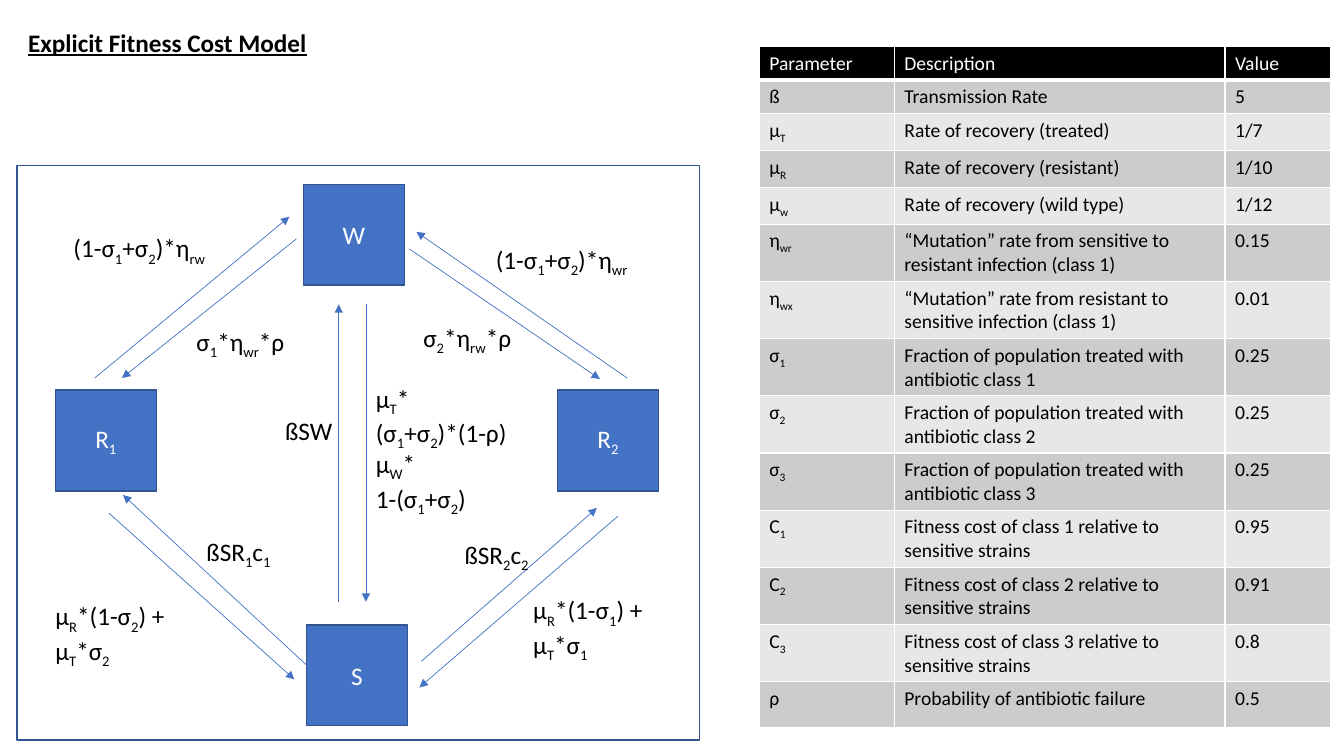
import dataclasses

import pptx
import pptx.dml.color
import pptx.enum.shapes
import pptx.enum.text
import pptx.oxml
import pptx.oxml.ns
import pptx.shapes.autoshape
import pptx.slide
import pptx.table
import pptx.text.text
import pptx.util

PX = 9144
FONT = "Calibri"
BLUE, NAVY = "4472C4", "325491"
BLACK, WHITE = "000000", "FFFFFF"
BANDS = ("E7E7E7", "CCCCCC")


@dataclasses.dataclass
class Compartment:
    left: int
    top: int
    text: str


@dataclasses.dataclass
class Flow:
    x1: int
    y1: int
    x2: int
    y2: int


@dataclasses.dataclass
class Label:
    left: int
    top: int
    width: int
    height: int
    text: str
    wrap: bool = False
    heading: bool = False


COMPARTMENTS = [
    Compartment(304, 620, "S"),
    Compartment(55, 387, "R|1|"),
    Compartment(553, 387, "R|2|"),
    Compartment(301, 183, "W"),
]

FLOWS = [
    Flow(94, 375, 287, 215),
    Flow(294, 237, 121, 375),
    Flow(622, 375, 413, 230),
    Flow(406, 247, 595, 376),
    Flow(363, 302, 363, 597),
    Flow(336, 597, 336, 302),
    Flow(315, 670, 122, 491),
    Flow(108, 509, 292, 674),
    Flow(418, 656, 592, 504),
    Flow(613, 512, 416, 682),
]

LABELS = [
    Label(63, 226, 191, 40, "(1-σ|1|+σ|2|)*η|rw|", wrap=True),
    Label(410, 315, 112, 40, "σ|2|*η|rw|*ρ"),
    Label(185, 319, 112, 40, "σ|1|*η|wr|*ρ"),
    Label(482, 237, 163, 40, "(1-σ|1|+σ|2|)*η|wr|"),
    Label(451, 530, 87, 40, "ßSR|2|c|2|"),
    Label(195, 527, 87, 40, "ßSR|1|c|1|"),
    Label(45, 591, 132, 71, "µ|R|*(1-σ|2|) +\nµ|T|*σ|2|"),
    Label(273, 407, 67, 40, "ßSW"),
    Label(363, 375, 154, 71, "µ|T|*\n(σ|1|+σ|2|)*(1-ρ)"),
    Label(363, 440, 113, 71, "µ|W|*\n1-(σ|1|+σ|2|)"),
    Label(519, 585, 132, 71, "µ|R|*(1-σ|1|) +\nµ|T|*σ|1|"),
    Label(18, 22, 298, 40, "Explicit Fitness Cost Model", heading=True),
]

PARAMETERS = [
    ("Parameter", "Description", "Value"),
    ("ß", "Transmission Rate", "5"),
    ("µ|T|", "Rate of recovery (treated)", "1/7"),
    ("µ|R|", "Rate of recovery (resistant)", "1/10"),
    ("µ|w|", "Rate of recovery (wild type)", "1/12"),
    ("η|wr|", "“Mutation” rate from sensitive to resistant infection (class 1)", "0.15"),
    ("η|wx|", "“Mutation” rate from resistant to sensitive infection (class 1)", "0.01"),
    ("σ|1|", "Fraction of population treated with antibiotic class 1", "0.25"),
    ("σ|2|", "Fraction of population treated with antibiotic class 2", "0.25"),
    ("σ|3|", "Fraction of population treated with antibiotic class 3", "0.25"),
    ("C|1|", "Fitness cost of class 1 relative to sensitive strains", "0.95"),
    ("C|2|", "Fitness cost of class 2 relative to sensitive strains", "0.91"),
    ("C|3|", "Fitness cost of class 3 relative to sensitive strains", "0.8"),
    ("ρ", "Probability of antibiotic failure", "0.5"),
]
COLUMN_WIDTHS = [134, 328, 105]
ROW_HEIGHTS = [32] * 5 + [55] * 8 + [45]


def color(hex_code: str) -> pptx.dml.color.RGBColor:
    return pptx.dml.color.RGBColor.from_string(hex_code)


def write(frame: pptx.text.text.TextFrame, text: str, size: int, ink: str,
          centered: bool = False, heading: bool = False) -> None:
    for number, line in enumerate(text.split("\n")):
        paragraph = frame.add_paragraph() if number else frame.paragraphs[0]
        if centered:
            paragraph.alignment = pptx.enum.text.PP_ALIGN.CENTER
        for position, part in enumerate(line.split("|")):
            if not part:
                continue
            run = paragraph.add_run()
            run.text = part
            run.font.name = FONT
            run.font.size = pptx.util.Pt(size)
            run.font.color.rgb = color(ink)
            if heading:
                run.font.bold = True
                run.font.underline = True
            if position % 2:
                run._r.get_or_add_rPr().set("baseline", "-25000")


def draw_box(slide: pptx.slide.Slide, left: int, top: int, width: int, height: int,
             fill: str) -> pptx.shapes.autoshape.Shape:
    box = slide.shapes.add_shape(pptx.enum.shapes.MSO_SHAPE.RECTANGLE,
                                 left * PX, top * PX, width * PX, height * PX)
    box.shadow.inherit = False
    box.fill.solid()
    box.fill.fore_color.rgb = color(fill)
    box.line.color.rgb = color(NAVY)
    box.line.width = pptx.util.Pt(1)
    return box


def draw_compartment(slide: pptx.slide.Slide, item: Compartment) -> None:
    box = draw_box(slide, item.left, item.top, 100, 100, BLUE)
    box.text_frame.vertical_anchor = pptx.enum.text.MSO_ANCHOR.MIDDLE
    write(box.text_frame, item.text, 18, WHITE, centered=True)


def draw_flow(slide: pptx.slide.Slide, flow: Flow) -> None:
    arrow = slide.shapes.add_connector(
        pptx.enum.shapes.MSO_CONNECTOR.STRAIGHT,
        flow.x1 * PX, flow.y1 * PX, flow.x2 * PX, flow.y2 * PX)
    arrow.line.color.rgb = color(BLUE)
    arrow.line.width = pptx.util.Pt(0.5)
    properties = arrow._element.spPr
    head = pptx.oxml.parse_xml(
        f'<a:tailEnd {pptx.oxml.ns.nsdecls("a")} type="triangle"/>')
    properties.find(pptx.oxml.ns.qn("a:ln")).append(head)
    properties.append(pptx.oxml.parse_xml(
        f'<a:effectLst {pptx.oxml.ns.nsdecls("a")}/>'))


def draw_label(slide: pptx.slide.Slide, label: Label) -> None:
    frame = slide.shapes.add_textbox(label.left * PX, label.top * PX,
                                     label.width * PX, label.height * PX).text_frame
    frame.word_wrap = label.wrap
    frame.auto_size = pptx.enum.text.MSO_AUTO_SIZE.SHAPE_TO_FIT_TEXT
    write(frame, label.text, 18, BLACK, heading=label.heading)


def set_borders(cell: pptx.table._Cell, bottom: int) -> None:
    properties = cell._tc.get_or_add_tcPr()
    for side, points in (("L", 1), ("R", 1), ("T", 1), ("B", bottom)):
        properties.append(pptx.oxml.parse_xml(
            f'<a:ln{side} {pptx.oxml.ns.nsdecls("a")} w="{pptx.util.Pt(points)}">'
            f'<a:solidFill><a:srgbClr val="{WHITE}"/></a:solidFill></a:ln{side}>'))


def draw_parameters(slide: pptx.slide.Slide) -> None:
    table = slide.shapes.add_table(
        len(PARAMETERS), len(COLUMN_WIDTHS), 753 * PX, 46 * PX,
        sum(COLUMN_WIDTHS) * PX, sum(ROW_HEIGHTS) * PX).table
    table.first_row = False
    table.horz_banding = False
    for column, width in zip(table.columns, COLUMN_WIDTHS):
        column.width = width * PX
    for number, (row, height) in enumerate(zip(table.rows, ROW_HEIGHTS)):
        row.height = height * PX
        header = number == 0
        for cell, text in zip(row.cells, PARAMETERS[number]):
            set_borders(cell, 3 if header else 1)
            cell.fill.solid()
            cell.fill.fore_color.rgb = color(BLACK if header else BANDS[number % 2])
            write(cell.text_frame, text, 14, WHITE if header else BLACK)


def main() -> None:
    deck = pptx.Presentation()
    deck.slide_width = pptx.util.Inches(13.33)
    deck.slide_height = pptx.util.Inches(7.5)
    slide = deck.slides.add_slide(deck.slide_layouts[6])
    draw_box(slide, 17, 164, 677, 570, WHITE)
    for compartment in COMPARTMENTS:
        draw_compartment(slide, compartment)
    for flow in FLOWS:
        draw_flow(slide, flow)
    for label in LABELS:
        draw_label(slide, label)
    draw_parameters(slide)
    deck.save("out.pptx")


if __name__ == "__main__":
    main()
